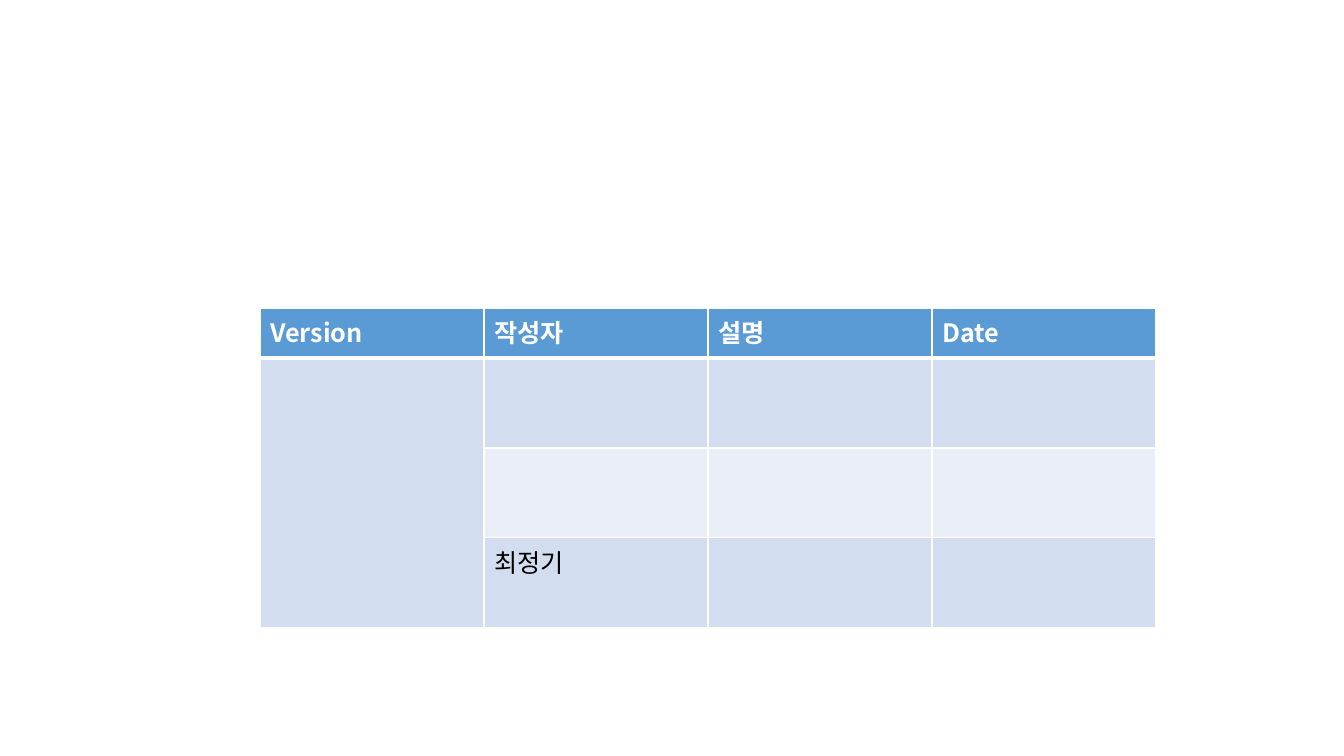
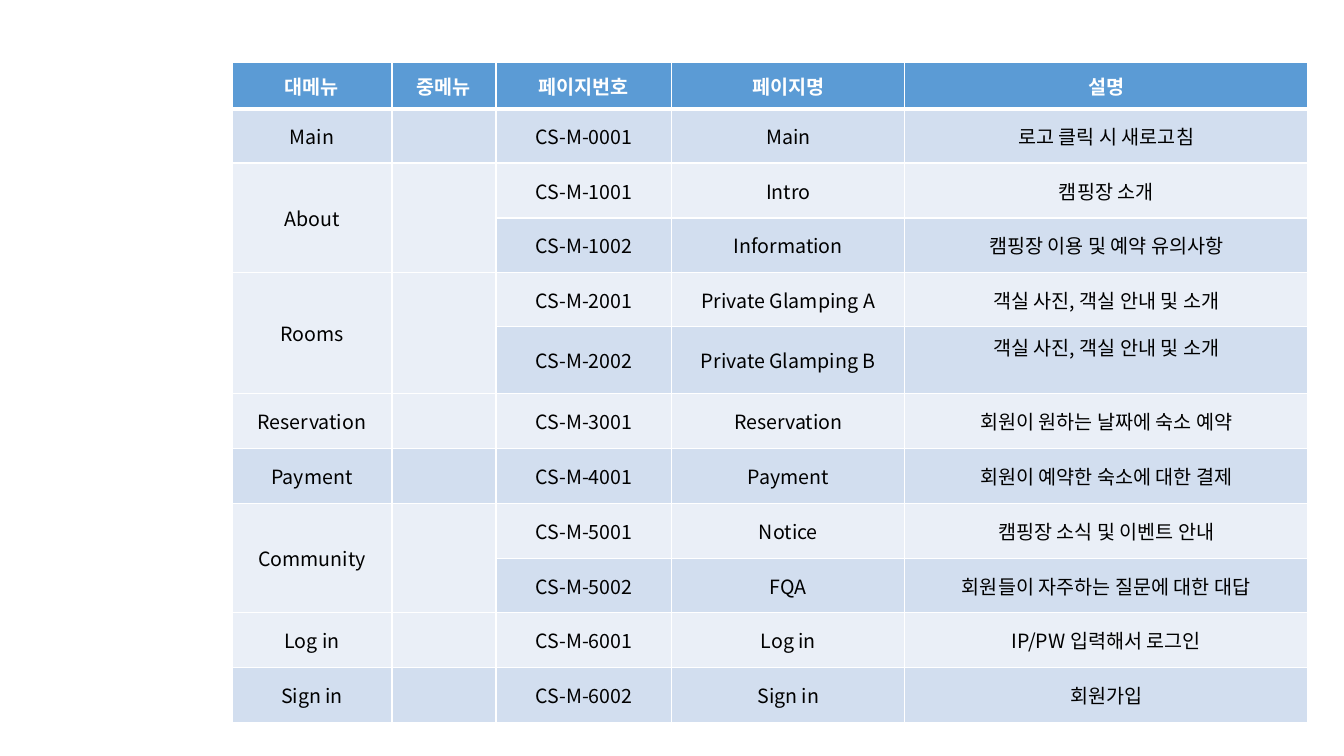
from lxml.etree import SubElement
from pptx import Presentation
from pptx.dml.color import RGBColor
from pptx.enum.text import MSO_ANCHOR as Anchor, PP_ALIGN as Align
from pptx.oxml.ns import qn
from pptx.util import Pt

EMU_PER_PX = 914400 / 100.8
FONT = "Noto Sans CJK KR"
WHITE = RGBColor(0xFF, 0xFF, 0xFF)
BLACK = RGBColor(0x00, 0x00, 0x00)
HEADER_BLUE = RGBColor(0x5B, 0x9B, 0xD5)
BAND_DARK = RGBColor(0xD2, 0xDE, 0xEF)
BAND_LIGHT = RGBColor(0xEA, 0xEF, 0xF7)

VERSION_ROWS = [
    ("Version", "작성자", "설명", "Date"),
    ("", "", "", ""),
    ("", "", "", ""),
    ("", "최정기", "", ""),
]
VERSION_MERGES = [(0, 1, 3)]

MENU_ROWS = [
    ("대메뉴", "중메뉴", "페이지번호", "페이지명", "설명"),
    ("Main", "", "CS-M-0001", "Main", "로고 클릭 시 새로고침"),
    ("About", "", "CS-M-1001", "Intro", "캠핑장 소개"),
    ("", "", "CS-M-1002", "Information", "캠핑장 이용 및 예약 유의사항"),
    ("Rooms", "", "CS-M-2001", "Private Glamping A", "객실 사진, 객실 안내 및 소개"),
    ("", "", "CS-M-2002", "Private Glamping B", "객실 사진, 객실 안내 및 소개"),
    ("Reservation", "", "CS-M-3001", "Reservation", "회원이 원하는 날짜에 숙소 예약"),
    ("Payment", "", "CS-M-4001", "Payment", "회원이 예약한 숙소에 대한 결제"),
    ("Community", "", "CS-M-5001", "Notice", "캠핑장 소식 및 이벤트 안내"),
    ("", "", "CS-M-5002", "FQA", "회원들이 자주하는 질문에 대한 대답"),
    ("Log in", "", "CS-M-6001", "Log in", "IP/PW 입력해서 로그인"),
    ("Sign in", "", "CS-M-6002", "Sign in", "회원가입"),
]
MENU_WIDTHS = [160, 104, 176, 233, 403]
MENU_HEIGHTS = [47, 54, 55, 55, 54, 67, 55, 55, 55, 54, 55, 55]
MENU_MERGES = [(column, top, top + 1) for top in (2, 4, 8) for column in (0, 1)]


def px(pixels):
    """Turn pixels into EMU."""
    return round(pixels * EMU_PER_PX)


def add_borders(cell, row):
    """Draw white cell borders, thick between the header and the body."""
    points = {"L": 1, "R": 1, "T": 3 if row == 1 else 1, "B": 3 if row == 0 else 1}
    for side, width in points.items():
        border = SubElement(cell._tc.get_or_add_tcPr(), qn(f"a:ln{side}"), w=str(Pt(width)))
        paint = SubElement(border, qn("a:solidFill"))
        SubElement(paint, qn("a:srgbClr"), val=str(WHITE))


def fill_cell(cell, row):
    """Colour a cell as header or as one of the two bands."""
    cell.fill.solid()
    band = BAND_DARK if row % 2 else BAND_LIGHT
    cell.fill.fore_color.rgb = HEADER_BLUE if row == 0 else band


def write_cell(cell, text, size, is_header, align):
    """Write one formatted run into a cell."""
    paragraph = cell.text_frame.paragraphs[0]
    paragraph.alignment = align
    run = paragraph.add_run()
    run.text = text
    run.font.name = FONT
    run.font.size = Pt(size)
    run.font.bold = is_header
    run.font.color.rgb = WHITE if is_header else BLACK
    SubElement(run._r.get_or_add_rPr(), qn("a:ea"), typeface=FONT)


def add_banded_table(slide, left, top, widths, heights, rows, merges, size,
                     align=Align.LEFT, anchor=Anchor.TOP):
    """Add a banded table with vertical merges given as column, first row, last row."""
    table = slide.shapes.add_table(len(rows), len(widths), px(left), px(top),
                                   px(sum(widths)), px(sum(heights))).table
    for column, width in zip(table.columns, widths):
        column.width = px(width)
    for row, height in zip(table.rows, heights):
        row.height = px(height)
    for row, texts in enumerate(rows):
        for column, text in enumerate(texts):
            cell = table.cell(row, column)
            add_borders(cell, row)
            fill_cell(cell, row)
            cell.vertical_anchor = anchor
            if text:
                write_cell(cell, text, size, row == 0, align)
    for column, first, last in merges:
        table.cell(first, column).merge(table.cell(last, column))
    return table


def main():
    """Build the version history and the menu structure."""
    deck = Presentation()
    deck.slide_width, deck.slide_height = px(1344), px(756)
    blank = deck.slide_layouts[6]

    add_banded_table(deck.slides.add_slide(blank), 260, 308, [224] * 4,
                     [50] + [90] * 3, VERSION_ROWS, VERSION_MERGES, 18)

    menu = add_banded_table(deck.slides.add_slide(blank), 232, 62, MENU_WIDTHS,
                            MENU_HEIGHTS, MENU_ROWS, MENU_MERGES, 14,
                            Align.CENTER, Anchor.MIDDLE)
    menu.cell(5, 4).margin_bottom = px(32)

    deck.save("out.pptx")


main()
